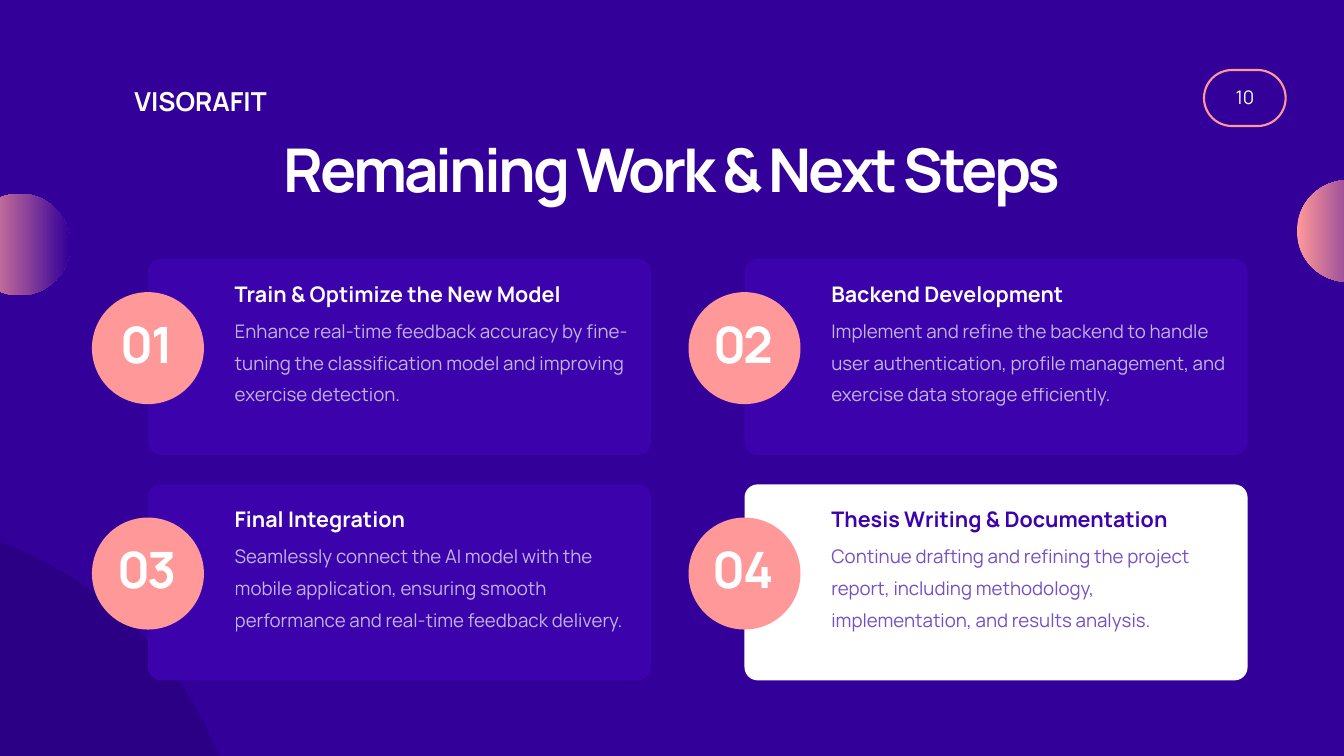
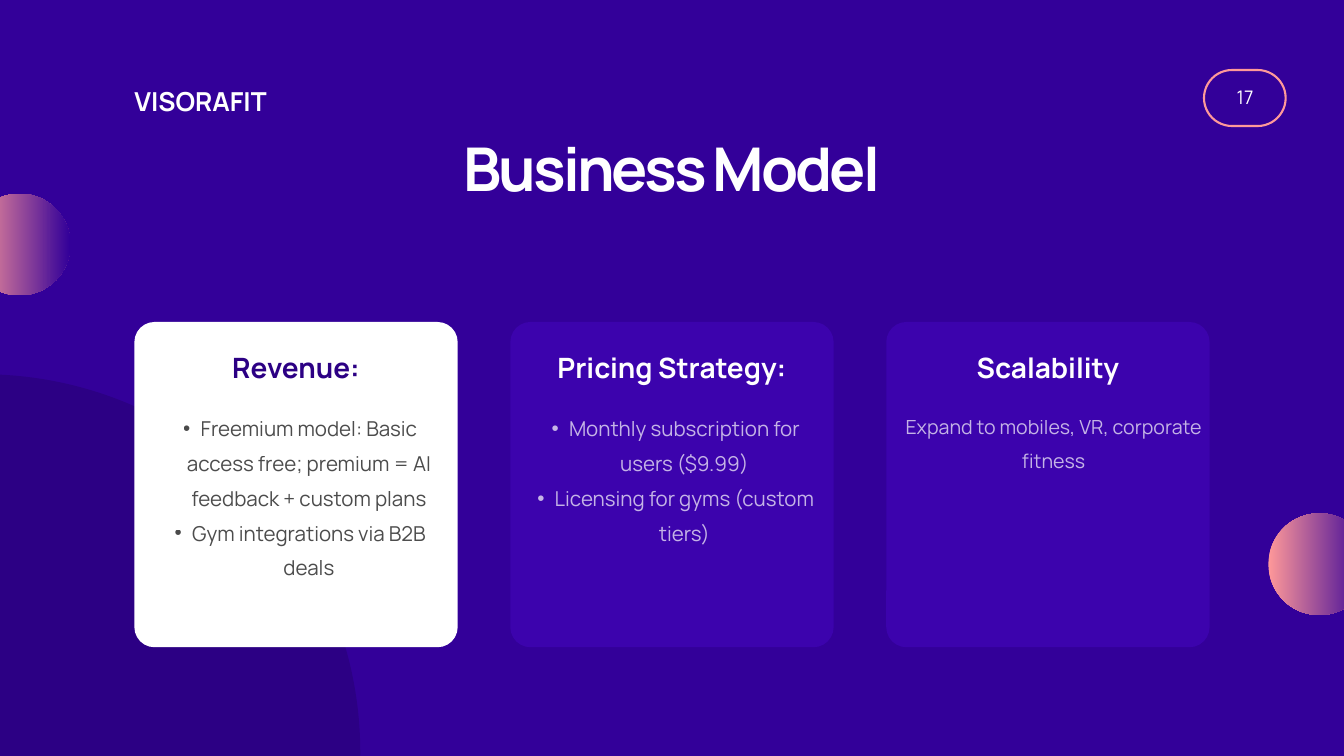
import pptx
import pptx.util
import pptx.dml.color
import pptx.enum.shapes
import pptx.enum.text
import pptx.oxml
import pptx.oxml.ns

Pt = pptx.util.Pt
Kind = pptx.enum.shapes.MSO_SHAPE
Align = pptx.enum.text.PP_ALIGN
qn = pptx.oxml.ns.qn
rgb = pptx.dml.color.RGBColor.from_string


class Theme:
    font = "Manrope"
    back, deep, card = "330099", "2C0084", "3C03AD"
    pink, white, black = "FF9999", "FFFFFF", "000000"
    title, digit, name, head = 64.6, 53.7, 28, 30
    step, list, note, body = 23, 22, 21, 20


def text(slide, words, area, size, color=Theme.white, bold=False, align=Align.LEFT,
         pitch=1.7, track=0, alpha=None, bullet=False, holder=None):
    """Write one paragraph per item of words in a text box or a placeholder."""
    area = [Pt(v) for v in area]
    if holder is None:
        box = slide.shapes.add_textbox(*area)
    else:
        box = holder
        box.left, box.top, box.width, box.height = area
        slide.shapes.element.append(box.element)  # bring to front
    frame = box.text_frame
    frame.word_wrap = True
    frame.auto_size = pptx.enum.text.MSO_AUTO_SIZE.NONE
    frame.vertical_anchor = pptx.enum.text.MSO_ANCHOR.TOP
    frame.margin_left = frame.margin_top = frame.margin_right = frame.margin_bottom = 0
    frame.text = "\n".join(words) if isinstance(words, list) else words
    for para in frame.paragraphs:
        para.alignment = align
        para.line_spacing = Pt(round(size * pitch, 1))
        para.space_before = Pt(0)
        for run in para.runs:
            font = run.font
            font.name, font.size, font.bold = Theme.font, Pt(size), bold
            font.color.rgb = rgb(color)
    if bullet:
        for props in box.element.iter(qn("a:pPr")):
            props.set("marL", str(Pt(37.4)))
            props.set("indent", str(Pt(-18.7)))
            props.append(pptx.oxml.parse_xml(
                '<a:buChar %s char="•"/>' % pptx.oxml.ns.nsdecls("a")))
    if track:
        for props in box.element.iter(qn("a:rPr")):
            props.set("spc", str(round(track * 100)))
    if alpha:
        for tint in box.element.iter(qn("a:srgbClr")):
            tint.append(pptx.oxml.parse_xml(
                '<a:alpha %s val="%d"/>' % (pptx.oxml.ns.nsdecls("a"), alpha * 1000)))


def shape(slide, kind, area, fill=None, fade=None, line=None, round_by=None):
    """Draw a plain shape; fade is the second colour of a gradient."""
    item = slide.shapes.add_shape(kind, *[Pt(v) for v in area])
    item.shadow.inherit = False
    if round_by is not None:
        item.adjustments[0] = round_by / min(area[2:])
    if fade:
        item.fill.gradient()
        item.fill.gradient_angle = 0
        for stop, tint in zip(item.fill.gradient_stops, (fill, fade)):
            stop.color.rgb = rgb(tint)
    elif fill:
        item.fill.solid()
        item.fill.fore_color.rgb = rgb(fill)
    else:
        item.fill.background()
    if line:
        item.line.color.rgb = rgb(line)
        item.line.width = Pt(2.25)
    else:
        item.line.fill.background()


deck = pptx.Presentation()
deck.slide_width, deck.slide_height = Pt(1440), Pt(810)
master = deck.slide_master.background.fill
master.solid()
master.fore_color.rgb = rgb(Theme.back)

# Shared frame: layout, page, title, title top, big disc, right ball
pages = [
    (5, "10", "Remaining Work & Next Steps", 149.8, (-546.5, 555), (1389.6, 193)),
    (3, "17", "Business Model", 148.3, (-424, 401), (1359, 550)),
]
slides = []
for layout, page, title, top, disc, ball in pages:
    slide = deck.slides.add_slide(deck.slide_layouts[layout])
    slides.append(slide)
    shape(slide, Kind.OVAL, (*disc, 810, 810), fill=Theme.deep)
    for spot in ((-33.5, 207.5), ball):
        shape(slide, Kind.OVAL, (*spot, 109, 109), fill=Theme.pink, fade=Theme.back)
    shape(slide, Kind.ROUNDED_RECTANGLE, (1290, 75, 87.5, 60), line=Theme.pink, round_by=30)
    text(slide, page, (1277, 88.5, 114, 28), Theme.body, align=Align.CENTER, pitch=1.4)
    text(slide, "VISORAFIT", (144, 98, 160, 30), Theme.name, bold=True, pitch=0.957)
    text(slide, title, (262, top, 916, 76), Theme.title, bold=True, align=Align.CENTER,
         pitch=1.08, track=-3.2, holder=slide.shapes.title)
plan, model = slides

# Next steps: two by two cards
steps = [
    ("Train & Optimize the New Model",
     "Enhance real-time feedback accuracy by fine-tuning the classification model "
     "and improving exercise detection."),
    ("Backend Development",
     "Implement and refine the backend to handle user authentication, profile "
     "management, and exercise data storage efficiently."),
    ("Final Integration",
     "Seamlessly connect the AI model with the mobile application, ensuring smooth "
     "performance and real-time feedback delivery."),
    ("Thesis Writing & Documentation",
     "Continue drafting and refining the project report, including methodology, "
     "implementation, and results analysis."),
]
for i, (head, body) in enumerate(steps):
    x, y = 158.5 + i % 2 * 639.2, 277.5 + i // 2 * 241.5
    last = i == len(steps) - 1
    fill, ink = (Theme.white, Theme.card) if last else (Theme.card, Theme.white)
    shape(plan, Kind.ROUNDED_RECTANGLE, (x, y, 539, 210), fill=fill, round_by=14)
    shape(plan, Kind.OVAL, (x - 60, y + 35.5, 120, 120), fill=Theme.pink)
    text(plan, f"{i + 1:02}", (x - 44.7, y + 64.5, 87, 63), Theme.digit, bold=True,
         align=Align.CENTER, pitch=1.08, track=-2.6)
    text(plan, head, (x + 93, y + 12.2, 400, 38), Theme.step, color=ink, bold=True)
    text(plan, body, (x + 93, y + 55, 423.4, 102), Theme.body, color=ink, alpha=70)

# Business model: three cards, the first one lit
lists = [item for item in model.placeholders if item.placeholder_format.idx > 0]
parts = [
    ("Revenue:", 0.5, lists[0],
     ["Freemium model: Basic access free; premium = AI feedback + custom plans",
      "Gym integrations via B2B deals"]),
    ("Pricing Strategy:", 0, lists[1],
     ["Monthly subscription for users ($9.99)",
      "Licensing for gyms (custom tiers)"]),
    ("Scalability", 11.5, None, "Expand to mobiles, VR, corporate fitness"),
]
for i, (head, shift, holder, body) in enumerate(parts):
    x, y = 144 + i * 402.8, 345
    fill, ink, soft = ((Theme.card, Theme.white, Theme.white) if i
                       else (Theme.white, Theme.deep, Theme.black))
    shape(model, Kind.ROUNDED_RECTANGLE, (x, y, 346.4, 348.5), fill=fill, round_by=21.6)
    text(model, head, (x, y + 15.7, 346.4, 48), Theme.head, color=ink, bold=True,
         align=Align.CENTER)
    text(model, body, (x + shift, y + 89.5, 335.5, 220), Theme.list if holder else Theme.note,
         color=soft, align=Align.CENTER, alpha=70, bullet=bool(holder), holder=holder)

deck.save("out.pptx")
